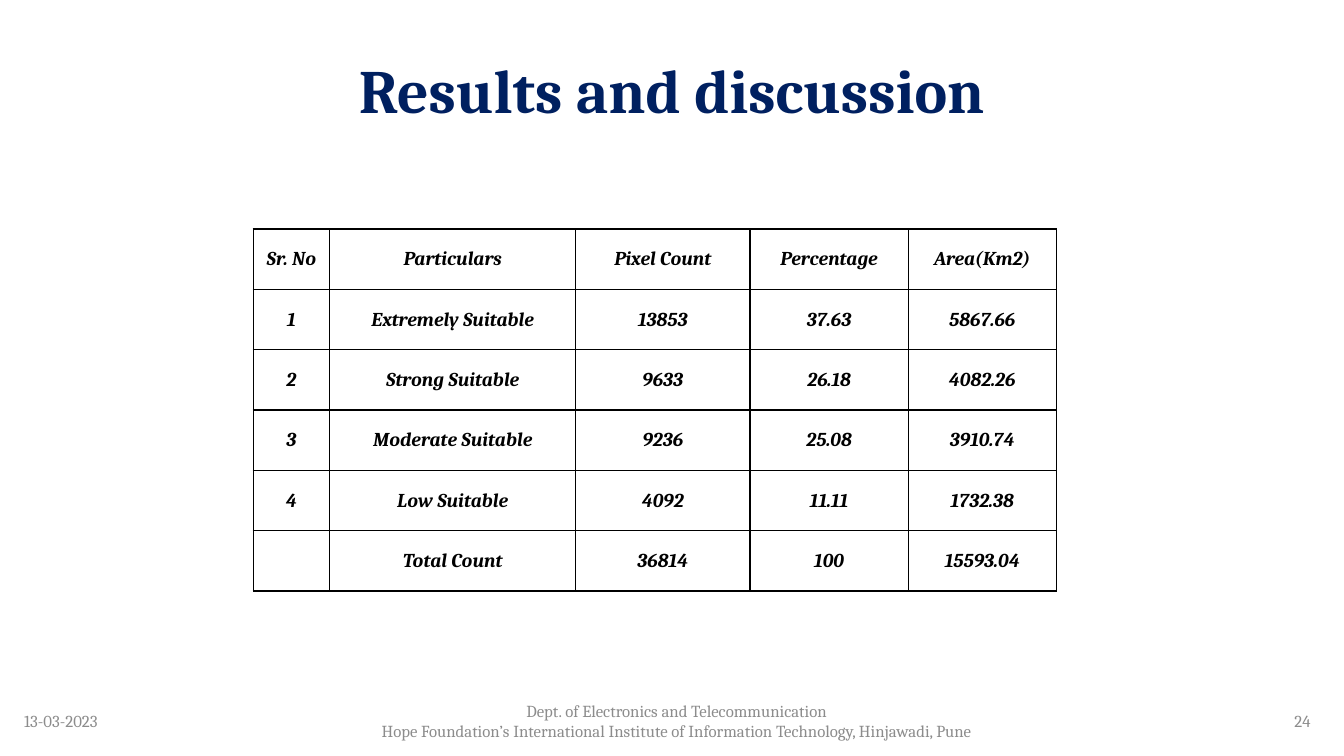
"""Build the results and discussion slide with its suitability table."""
import dataclasses
import typing

import lxml.etree
import pptx
import pptx.dml.color
import pptx.enum.text
import pptx.oxml.ns
import pptx.slide
import pptx.table
import pptx.text.text
import pptx.util

Cm = pptx.util.Cm
Align = pptx.enum.text.PP_ALIGN
Anchor = pptx.enum.text.MSO_ANCHOR


@dataclasses.dataclass(frozen=True)
class Theme:
    font: str = "Cambria"
    title_color: str = "002060"
    footer_color: str = "8C8C8C"
    table_color: str = "000000"
    title_size: int = 44
    footer_size: int = 12
    table_size: int = 14
    border_width: int = 1


THEME = Theme()


@dataclasses.dataclass(frozen=True)
class TextStyle:
    size: int
    color: str
    bold: bool = False
    italic: bool = False


@dataclasses.dataclass(frozen=True)
class Label:
    lines: tuple[str, ...]
    left: float
    top: float
    width: float
    height: float
    align: Align
    style: TextStyle
    line_spacing: float = 1.0


TITLE_STYLE = TextStyle(THEME.title_size, THEME.title_color, bold=True)
FOOTER_STYLE = TextStyle(THEME.footer_size, THEME.footer_color)
TABLE_STYLE = TextStyle(THEME.table_size, THEME.table_color, bold=True, italic=True)

FOOTER_TOP = 17.65
FOOTER_HEIGHT = 1.02

LABELS = (
    Label(("Results and discussion",), 0, 0.53, 33.87, 3.25, Align.CENTER, TITLE_STYLE, 1.1),
    Label(("13-03-2023",), 0.36, FOOTER_TOP, 3.02, FOOTER_HEIGHT, Align.LEFT, FOOTER_STYLE),
    Label(
        (
            "Dept. of Electronics and Telecommunication",
            "Hope Foundation’s International Institute of Information Technology, Hinjawadi, Pune",
        ),
        5.56, FOOTER_TOP, 22.99, FOOTER_HEIGHT, Align.CENTER, FOOTER_STYLE,
    ),
    Label(("24",), 31.93, FOOTER_TOP, 1.35, FOOTER_HEIGHT, Align.RIGHT, FOOTER_STYLE),
)

TABLE_LEFT, TABLE_TOP = 6.38, 5.77
COLUMN_WIDTHS = (1.93, 6.2, 4.39, 3.99, 3.73)
ROW_HEIGHT = 1.52
RESULTS = (
    ("Sr. No", "Particulars", "Pixel Count", "Percentage", "Area(Km2)"),
    ("1", "Extremely Suitable", "13853", "37.63", "5867.66"),
    ("2", "Strong Suitable", "9633", "26.18", "4082.26"),
    ("3", "Moderate Suitable", "9236", "25.08", "3910.74"),
    ("4", "Low Suitable", "4092", "11.11", "1732.38"),
    ("", "Total Count", "36814", "100", "15593.04"),
)


def apply_format(target: object, values: dict[str, typing.Any]) -> None:
    """Set every named attribute on the target."""
    for name, value in values.items():
        setattr(target, name, value)


def format_paragraph(
    paragraph: pptx.text.text._Paragraph, style: TextStyle, align: Align, line_spacing: float = 1.0
) -> None:
    """Apply alignment, spacing and font to a paragraph."""
    apply_format(paragraph, {"alignment": align, "line_spacing": line_spacing})
    font_values = {
        "name": THEME.font,
        "size": pptx.util.Pt(style.size),
        "bold": style.bold,
        "italic": style.italic,
    }
    for font in (paragraph.font, *(run.font for run in paragraph.runs)):
        apply_format(font, font_values)
        font.color.rgb = pptx.dml.color.RGBColor.from_string(style.color)


def add_label(slide: pptx.slide.Slide, label: Label) -> None:
    """Draw one text box."""
    shape = slide.shapes.add_textbox(
        Cm(label.left), Cm(label.top), Cm(label.width), Cm(label.height)
    )
    frame = shape.text_frame
    apply_format(frame, {"word_wrap": True, "vertical_anchor": Anchor.MIDDLE})
    frame.text = "\n".join(label.lines)
    for paragraph in frame.paragraphs:
        format_paragraph(paragraph, label.style, label.align, label.line_spacing)


def add_borders(cell: pptx.table._Cell) -> None:
    """Draw a solid line on all four sides of a cell."""
    qualify = pptx.oxml.ns.qn
    properties = cell._tc.get_or_add_tcPr()
    for side in ("lnL", "lnR", "lnT", "lnB"):
        line = lxml.etree.SubElement(
            properties, qualify(f"a:{side}"), w=str(pptx.util.Pt(THEME.border_width))
        )
        fill = lxml.etree.SubElement(line, qualify("a:solidFill"))
        lxml.etree.SubElement(fill, qualify("a:srgbClr"), val=THEME.table_color)


def add_results_table(slide: pptx.slide.Slide) -> None:
    """Draw the suitability table."""
    table = slide.shapes.add_table(
        len(RESULTS), len(COLUMN_WIDTHS), Cm(TABLE_LEFT), Cm(TABLE_TOP),
        Cm(sum(COLUMN_WIDTHS)), Cm(ROW_HEIGHT * len(RESULTS)),
    ).table
    apply_format(table, {"first_row": False, "horz_banding": False})
    for column, width in zip(table.columns, COLUMN_WIDTHS):
        column.width = Cm(width)
    cell_values = {
        "margin_left": Cm(0.02),
        "margin_right": Cm(0.02),
        "margin_top": Cm(0.02),
        "margin_bottom": Cm(0),
        "vertical_anchor": Anchor.MIDDLE,
    }
    for row, texts in zip(table.rows, RESULTS):
        row.height = Cm(ROW_HEIGHT)
        for cell, text in zip(row.cells, texts):
            cell.text = text
            apply_format(cell, cell_values)
            format_paragraph(cell.text_frame.paragraphs[0], TABLE_STYLE, Align.CENTER)
            add_borders(cell)
            cell.fill.background()


def main() -> None:
    """Build and save the presentation."""
    presentation = pptx.Presentation()
    apply_format(presentation, {"slide_width": Cm(33.87), "slide_height": Cm(19.05)})
    slide = presentation.slides.add_slide(presentation.slide_layouts[6])
    for label in LABELS:
        add_label(slide, label)
    add_results_table(slide)
    presentation.save("out.pptx")


if __name__ == "__main__":
    main()
